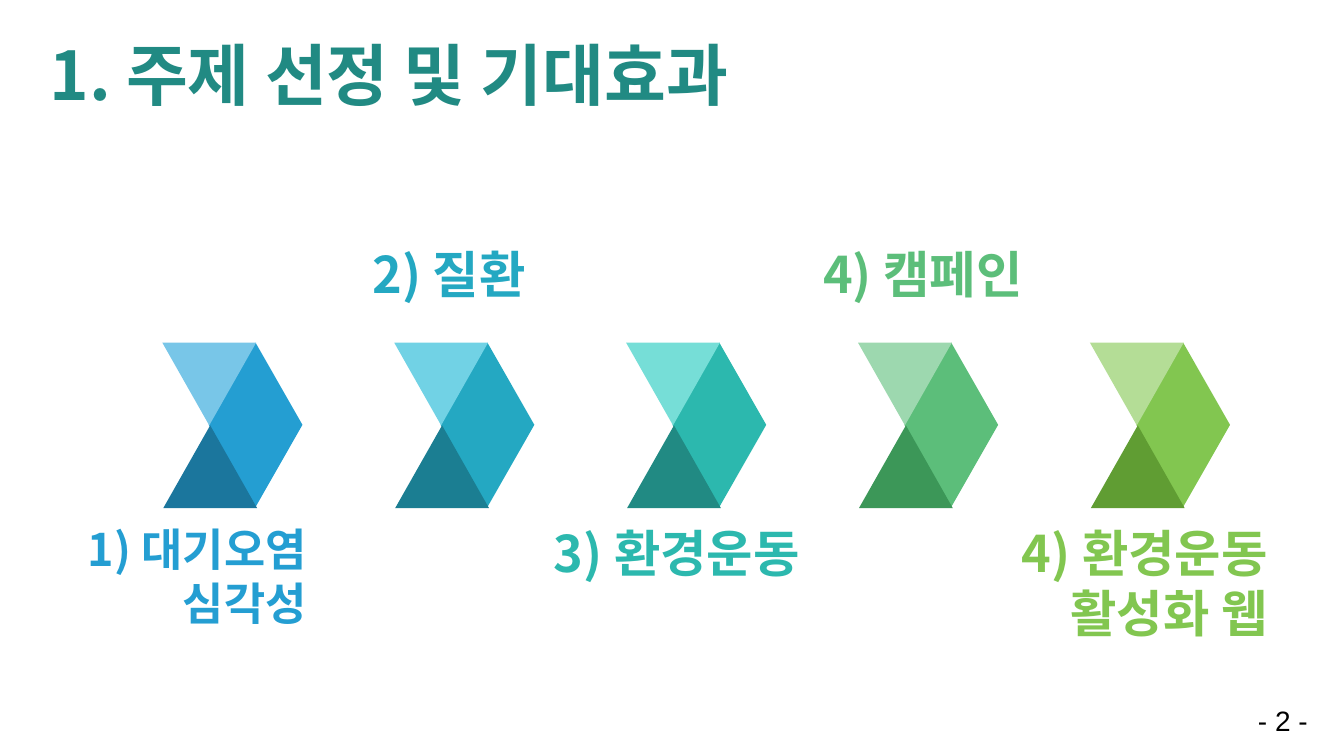
from dataclasses import dataclass

from lxml.etree import SubElement
from pptx import Presentation
from pptx.dml.color import RGBColor
from pptx.enum.shapes import MSO_SHAPE as Preset
from pptx.enum.text import MSO_ANCHOR as Anchor, MSO_AUTO_SIZE as AutoSize, PP_ALIGN as Align
from pptx.oxml.ns import qn
from pptx.shapes.autoshape import Shape
from pptx.shapes.group import GroupShape
from pptx.slide import Slide
from pptx.util import Emu, Pt

EMU_PER_PX = 9144


@dataclass(frozen=True)
class Theme:
    korean: str = "Noto Sans CJK KR"
    latin: str = "Arial"
    title: str = "218A83"
    ink: str = "000000"
    title_size: int = 48
    label_size: int = 36
    small_label_size: int = 32
    number_size: int = 20


@dataclass(frozen=True)
class Area:
    left: int
    top: int
    width: int
    height: int


@dataclass(frozen=True)
class Step:
    label: str
    area: Area
    size: int
    light: str
    main: str
    dark: str


THEME = Theme()
TITLE_AREA = Area(39, 39, 1266, 79)
NUMBER_AREA = Area(942, 695, 365, 40)
ARROW_LEFT, ARROW_TOP, ARROW_PITCH = 161, 340, 230
FACE_WIDTH, FACE_HEIGHT = 93, 82

STEPS = [
    Step("1) 대기오염 심각성", Area(51, 512, 263, 118), THEME.small_label_size,
         "78C6E8", "249ED2", "1B769D"),
    Step("2) 질환", Area(344, 236, 187, 71), THEME.label_size,
         "71D2E5", "24A8C2", "1B7E92"),
    Step("3) 환경운동", Area(530, 512, 273, 71), THEME.label_size,
         "76DED7", "2CB8AE", "218A83"),
    Step("4) 캠페인", Area(803, 236, 221, 71), THEME.label_size,
         "9DD8AF", "5CBE7A", "3C9758"),
    Step("4) 환경운동 활성화 웹", Area(990, 512, 277, 131), THEME.label_size,
         "B4DD96", "82C650", "609D33"),
]


def px(length: int) -> Emu:
    return Emu(length * EMU_PER_PX)


def bounds(area: Area) -> tuple[Emu, Emu, Emu, Emu]:
    return px(area.left), px(area.top), px(area.width), px(area.height)


def write(box: Shape, text: str, font: str, size: int, color: str,
          bold: bool, align: Align, fit: AutoSize = AutoSize.NONE) -> None:
    frame = box.text_frame
    frame.text = text
    frame.word_wrap = True
    frame.auto_size = fit
    frame.vertical_anchor = Anchor.MIDDLE
    para = frame.paragraphs[0]
    para.alignment = align
    span = para.runs[0]
    span.font.name = font
    span.font.size = Pt(size)
    span.font.bold = bold
    span.font.color.rgb = RGBColor.from_string(color)
    SubElement(span.font._element, qn("a:ea")).set("typeface", font)


def add_title(page: Slide) -> None:
    title = page.shapes.title
    title.left, title.top, title.width, title.height = bounds(TITLE_AREA)
    write(title, "1. 주제 선정 및 기대효과", THEME.korean, THEME.title_size,
          THEME.title, True, Align.LEFT)
    title.text_frame.paragraphs[0].line_spacing = 0.9


def add_face(arrow: GroupShape, preset: Preset, area: Area, color: str) -> Shape:
    face = arrow.shapes.add_shape(preset, *bounds(area))
    face.shadow.inherit = False
    face.fill.solid()
    face.fill.fore_color.rgb = RGBColor.from_string(color)
    face.line.fill.background()
    return face


def add_arrow(page: Slide, left: int, step: Step) -> None:
    arrow = page.shapes.add_group_shape()
    add_face(arrow, Preset.DIAMOND,
             Area(left + FACE_WIDTH // 2, ARROW_TOP, FACE_WIDTH, 2 * FACE_HEIGHT - 1), step.main)
    upper = add_face(arrow, Preset.ISOSCELES_TRIANGLE,
                     Area(left, ARROW_TOP, FACE_WIDTH, FACE_HEIGHT), step.light)
    upper.rotation = 180
    add_face(arrow, Preset.ISOSCELES_TRIANGLE,
             Area(left + 1, ARROW_TOP + FACE_HEIGHT, FACE_WIDTH, FACE_HEIGHT), step.dark)


def add_label(page: Slide, step: Step) -> None:
    box = page.shapes.add_textbox(*bounds(step.area))
    write(box, step.label, THEME.korean, step.size, step.main, True,
          Align.RIGHT, AutoSize.SHAPE_TO_FIT_TEXT)


def add_page_number(page: Slide) -> None:
    box = page.shapes.add_textbox(*bounds(NUMBER_AREA))
    write(box, "- 2 -", THEME.latin, THEME.number_size, THEME.ink, False, Align.RIGHT)


def main() -> None:
    deck = Presentation()
    deck.slide_width, deck.slide_height = px(1333), px(750)
    page = deck.slides.add_slide(deck.slide_layouts.get_by_name("Title Only"))
    add_title(page)
    for index, step in enumerate(STEPS):
        add_arrow(page, ARROW_LEFT + index * ARROW_PITCH, step)
    for step in STEPS:
        add_label(page, step)
    add_page_number(page)
    deck.save("out.pptx")


if __name__ == "__main__":
    main()
